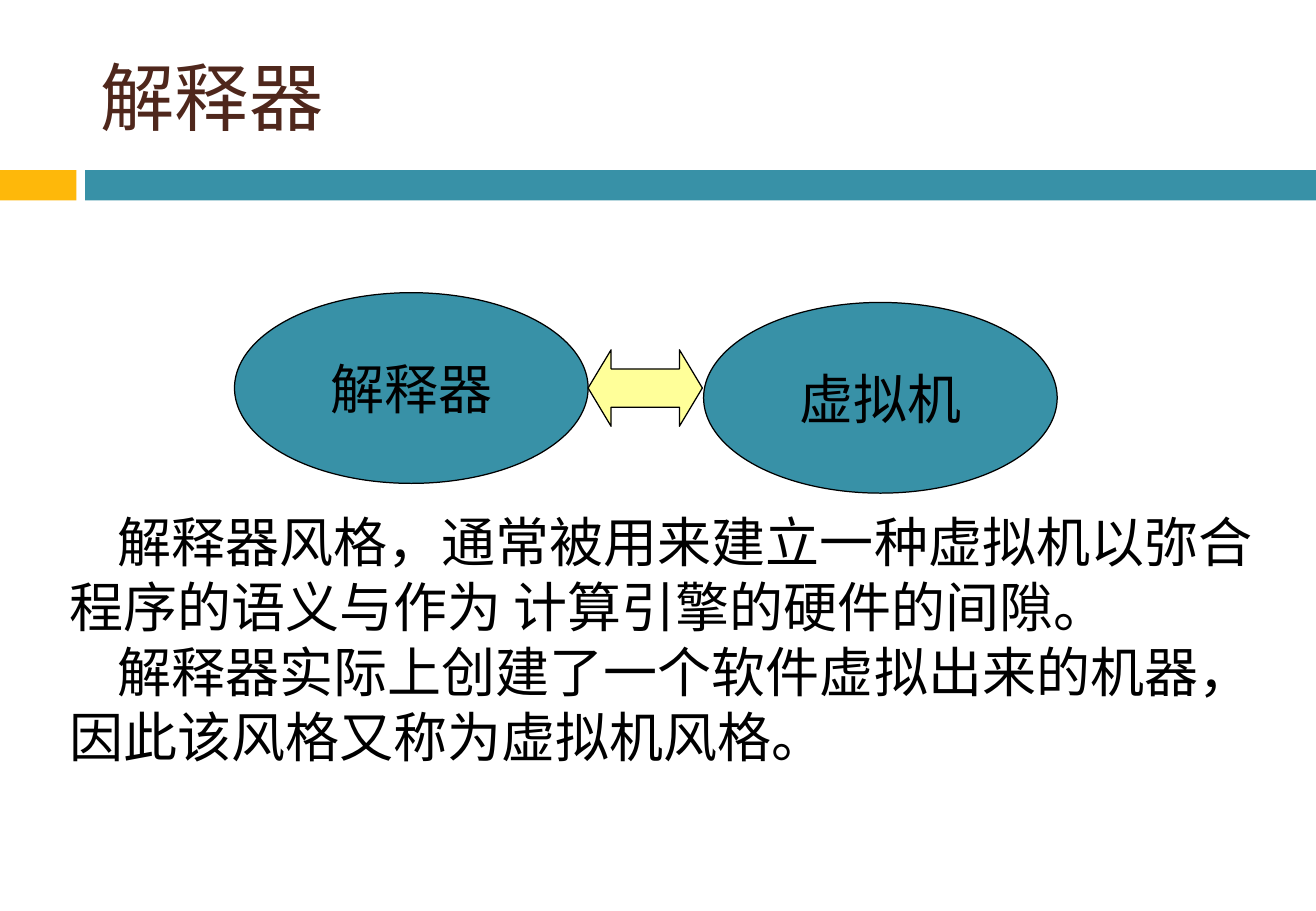
from lxml.etree import SubElement
from pptx import Presentation
from pptx.dml.color import RGBColor
from pptx.enum.shapes import MSO_SHAPE as Kind
from pptx.enum.text import MSO_ANCHOR as Anchor, PP_ALIGN as Align
from pptx.oxml.ns import qn
from pptx.util import Inches, Pt

TEAL = RGBColor(0x38, 0x91, 0xA7)
GOLD = RGBColor(0xFE, 0xB8, 0x0A)
BROWN = RGBColor(0x4F, 0x27, 0x1C)
CREAM = RGBColor(0xFF, 0xFF, 0x99)
BLACK = RGBColor(0, 0, 0)
FONT = "Calibri"
BODY = [
    "解释器风格，通常被用来建立一种虚拟机以弥合程序的语义与作为 计算引擎的硬件的间隙。",
    "解释器实际上创建了一个软件虚拟出来的机器，因此该风格又称为虚拟机风格。",
]


def style(para, size, color):
    for run in para.runs:
        run.font.size = Pt(size)
        run.font.name = FONT
        run.font.color.rgb = color
        SubElement(run.font._element, qn("a:ea")).set("typeface", FONT)


def add_form(slide, kind, box, fill, line=None):
    form = slide.shapes.add_shape(kind, *map(Inches, box))
    form.shadow.inherit = False
    form.fill.solid()
    form.fill.fore_color.rgb = fill
    if line is None:
        form.line.fill.background()
    else:
        form.line.color.rgb = line
        form.line.width = Pt(0.75)
    return form


def add_oval(slide, left, top, text):
    oval = add_form(slide, Kind.OVAL, (left, top, 2.91, 1.57), TEAL, BLACK)
    frame = oval.text_frame
    frame.word_wrap = False
    frame.vertical_anchor = Anchor.MIDDLE
    frame.text = text
    para = frame.paragraphs[0]
    para.alignment = Align.CENTER
    style(para, 32, BLACK)


def add_text(slide, box, lines, size, color, anchor=Anchor.TOP, indent=0):
    frame = slide.shapes.add_textbox(*map(Inches, box)).text_frame
    frame.word_wrap = True
    frame.vertical_anchor = anchor
    frame.text = "\n".join(lines)
    for para in frame.paragraphs:
        para._p.get_or_add_pPr().set("indent", str(Inches(indent)))
        style(para, size, color)


def main():
    deck = Presentation()
    deck.slide_width = Inches(10.83)
    deck.slide_height = Inches(7.5)
    slide = deck.slides.add_slide(deck.slide_layouts[6])

    add_form(slide, Kind.RECTANGLE, (0, 1.4, 0.63, 0.25), GOLD)
    add_form(slide, Kind.RECTANGLE, (0.7, 1.4, 10.13, 0.25), TEAL)
    add_text(slide, (0.73, 0.25, 9.66, 1.08), ["解释器"], 44, BROWN, Anchor.MIDDLE)

    add_oval(slide, 1.93, 2.41, "解释器")
    add_oval(slide, 5.79, 2.49, "虚拟机")
    arrow = add_form(slide, Kind.LEFT_RIGHT_ARROW, (4.84, 2.88, 0.94, 0.63), CREAM, BLACK)
    arrow.adjustments[0] = 0.5
    arrow.adjustments[1] = 0.3

    add_text(slide, (0.47, 4.14, 10, 2.23), BODY, 32, BLACK, indent=0.4)
    deck.save("out.pptx")


if __name__ == "__main__":
    main()
